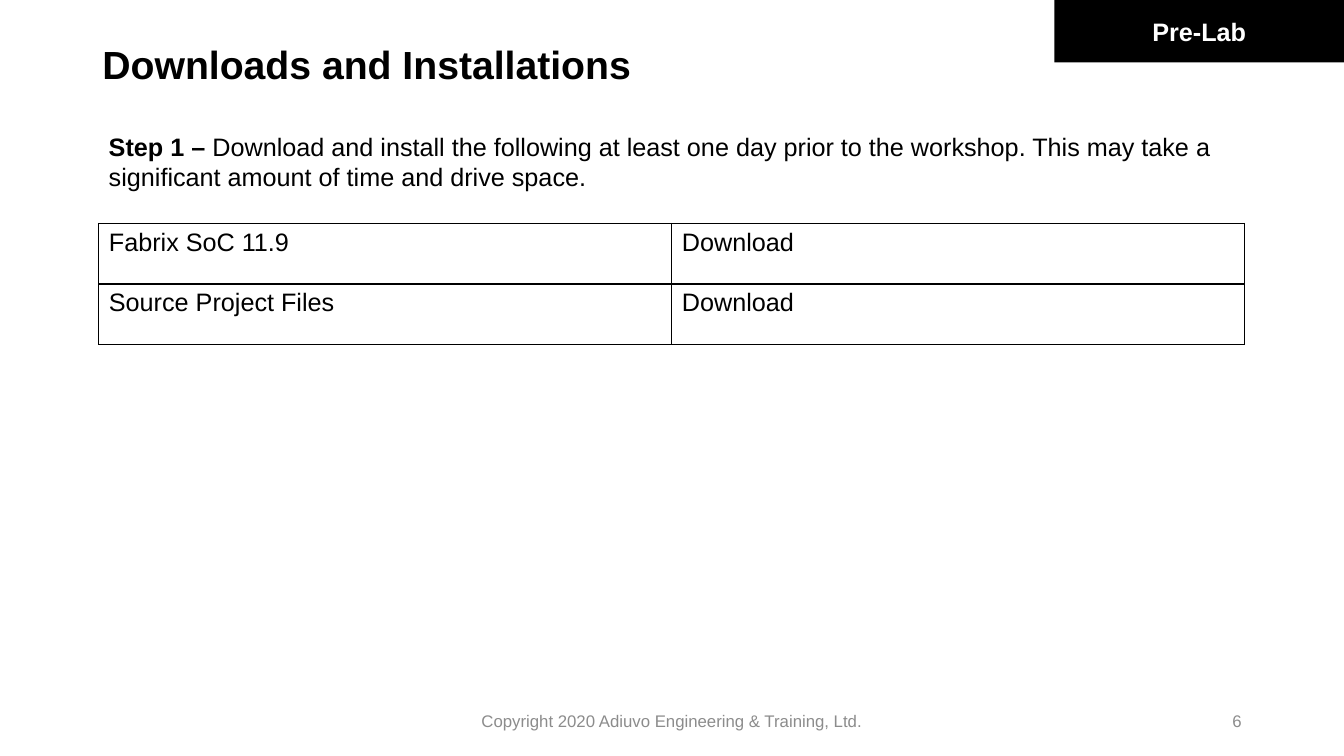
from lxml import etree
from pptx import Presentation
from pptx.dml.color import RGBColor
from pptx.enum.shapes import MSO_SHAPE
from pptx.enum.text import MSO_ANCHOR, PP_ALIGN
from pptx.oxml.ns import qn
from pptx.util import Pt

RECTANGLE = MSO_SHAPE.RECTANGLE
TOP, MIDDLE = MSO_ANCHOR.TOP, MSO_ANCHOR.MIDDLE
LEFT, CENTER, RIGHT = PP_ALIGN.LEFT, PP_ALIGN.CENTER, PP_ALIGN.RIGHT

COLORS = {"ink": "000000", "paper": "FFFFFF", "muted": "8C8C8C"}
FONT = "Arial"
SLIDE_WIDTH, SLIDE_HEIGHT = 960, 540
DOWNLOADS = [
    ("Fabrix SoC 11.9", "Download"),
    ("Source Project Files", "Download"),
]


def color(name):
    return RGBColor.from_string(COLORS[name])


def points(box):
    return [Pt(value) for value in box]


def write_text(text_frame, *runs, size=18, ink="ink", bold=False, align=LEFT,
               anchor=TOP, line_spacing=None):
    """Write one paragraph; a run is a string or a (string, bold) pair."""
    text_frame.word_wrap = True
    text_frame.vertical_anchor = anchor
    paragraph = text_frame.paragraphs[0]
    paragraph.alignment = align
    paragraph.line_spacing = line_spacing
    for item in runs:
        text, run_bold = (item, bold) if isinstance(item, str) else item
        run = paragraph.add_run()
        run.text = text
        run.font.name = FONT
        run.font.size = Pt(size)
        run.font.bold = run_bold
        run.font.color.rgb = color(ink)


def add_text(slide, box, *runs, **text_format):
    text_box = slide.shapes.add_textbox(*points(box))
    write_text(text_box.text_frame, *runs, **text_format)


def add_title(slide, box, text):
    title = slide.shapes.title
    title.left, title.top, title.width, title.height = points(box)
    write_text(title.text_frame, text, size=28, bold=True, line_spacing=0.9)


def add_section_tag(slide, box, text):
    tag = slide.shapes.add_shape(RECTANGLE, *points(box))
    tag.shadow.inherit = False
    tag.fill.solid()
    tag.fill.fore_color.rgb = color("ink")
    tag.line.fill.background()
    write_text(tag.text_frame, text, ink="paper", bold=True, align=CENTER,
               anchor=MIDDLE)


def set_cell_borders(cell, width=1):
    properties = cell._tc.get_or_add_tcPr()
    for index, side in enumerate(("lnL", "lnR", "lnT", "lnB")):
        line = etree.Element(qn(f"a:{side}"), w=str(Pt(width)))
        fill = etree.SubElement(line, qn("a:solidFill"))
        etree.SubElement(fill, qn("a:srgbClr"), val=COLORS["ink"])
        properties.insert(index, line)


def add_download_table(slide, box, rows):
    width, height = box[2:]
    column_count = len(rows[0])
    table = slide.shapes.add_table(len(rows), column_count, *points(box)).table
    table.first_row = table.horz_banding = False
    for column in table.columns:
        column.width = Pt(width / column_count)
    for row, texts in zip(table.rows, rows):
        row.height = Pt(height / len(rows))
        for cell, text in zip(row.cells, texts):
            cell.fill.background()
            set_cell_borders(cell)
            write_text(cell.text_frame, text)


def add_footer(slide, box):
    left, top, width, height = box
    note_width, number_width = 324, 216
    note_left = (SLIDE_WIDTH - note_width) / 2
    number_left = left + width - number_width
    add_text(slide, (note_left, top, note_width, height),
             "Copyright 2020 Adiuvo Engineering & Training, Ltd.",
             size=12, ink="muted", align=CENTER, anchor=MIDDLE)
    add_text(slide, (number_left, top, number_width, height), "6",
             size=12, ink="muted", align=RIGHT, anchor=MIDDLE)


def build_downloads_slide(presentation):
    title_only = presentation.slide_layouts[5]
    slide = presentation.slides.add_slide(title_only)
    add_title(slide, (66, 28.8, 828, 44.6), "Downloads and Installations")
    add_download_table(slide, (70.6, 159.6, 818.6, 86.6), DOWNLOADS)
    tag_width = 206.8
    add_section_tag(slide, (SLIDE_WIDTH - tag_width, 0, tag_width, 44.6), "Pre-Lab")
    add_footer(slide, (66, 500.5, 828, 28.8))
    add_text(slide, (70.6, 90, 828, 51), ("Step 1 – ", True),
             "Download and install the following at least one day prior to the "
             "workshop. This may take a significant amount of time and drive space.")


def main():
    presentation = Presentation()
    presentation.slide_width = Pt(SLIDE_WIDTH)
    presentation.slide_height = Pt(SLIDE_HEIGHT)
    build_downloads_slide(presentation)
    presentation.save("out.pptx")


if __name__ == "__main__":
    main()
